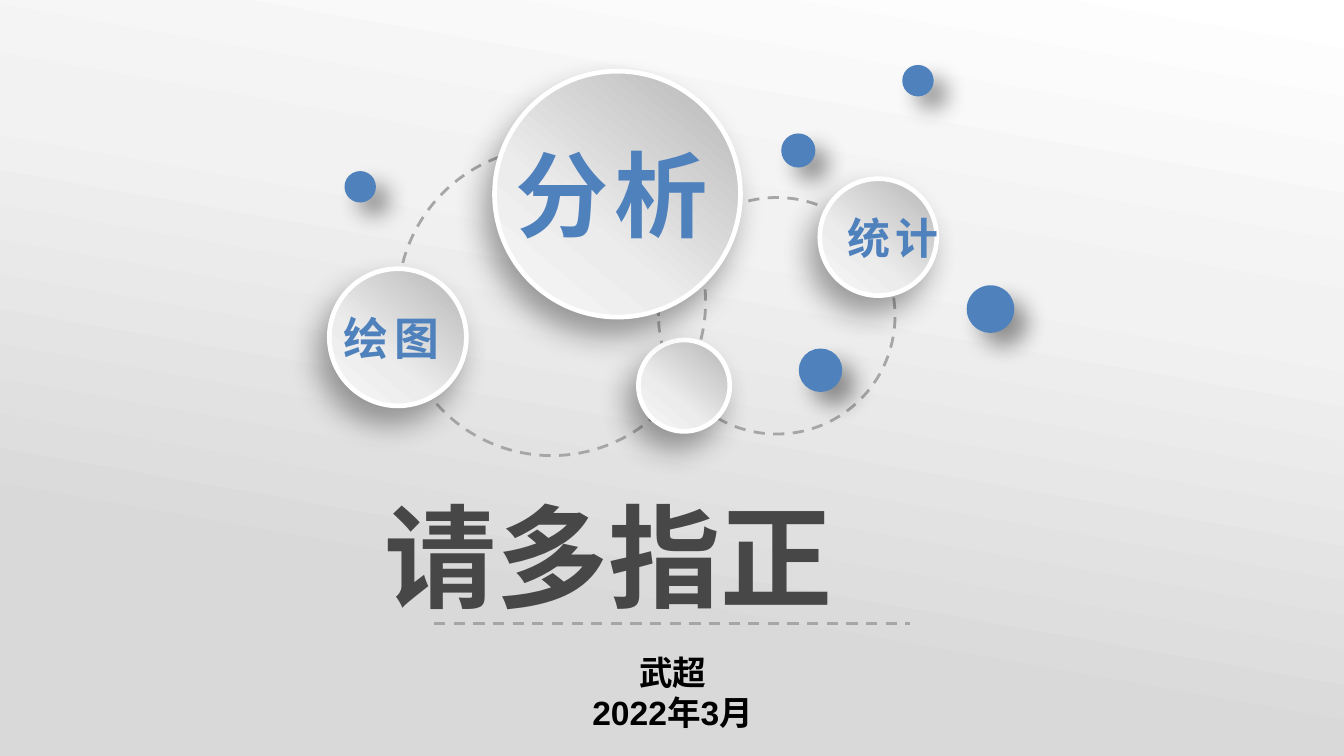
from lxml import etree
from pptx import Presentation
from pptx.dml.color import RGBColor
from pptx.enum import dml, shapes, text
from pptx.oxml import ns
from pptx.util import Inches, Pt

CJK = "Noto Sans CJK SC"
BLUE, GREY, WHITE = "4F81BD", "A6A6A6", "FFFFFF"
BACKDROP = [(0, WHITE), (34, "F2F2F2"), (76, "D9D9D9")]
DISC = [(9, "BEBEBE"), (63, "ECECEC"), (100, "F7F7F7")]


def color(hex_code):
    """Return the RGB colour for a hex string."""
    return RGBColor.from_string(hex_code)


def sub(parent, tag, **attributes):
    """Append a DrawingML element with the given attributes."""
    values = {name: str(value) for name, value in attributes.items()}
    return etree.SubElement(parent, ns.qn(f"a:{tag}"), values)


def set_gradient(shape, stops, angle):
    """Fill a shape with a linear gradient, its angle clockwise in degrees."""
    shape.fill.gradient()
    gradient = shape._element.spPr.find(ns.qn("a:gradFill"))
    for child in list(gradient):
        gradient.remove(child)
    stop_list = sub(gradient, "gsLst")
    for position, hex_code in stops:
        sub(sub(stop_list, "gs", pos=position * 1000), "srgbClr", val=hex_code)
    sub(gradient, "lin", ang=angle * 60000, scaled=0)


def set_shadow(shape, hex_code, blur, angle):
    """Give a shape a soft outer shadow at 40 percent opacity."""
    effects = shape._element.spPr.find(ns.qn("a:effectLst"))
    shadow = sub(effects, "outerShdw", blurRad=Pt(blur), dist=Pt(10),
                 dir=angle * 60000, algn="ctr", rotWithShape=0)
    sub(sub(shadow, "srgbClr", val=hex_code), "alpha", val=40000)


def set_line(line, hex_code, width, dashed=False):
    """Format an outline or a connector line."""
    line.color.rgb = color(hex_code)
    line.width = Pt(width)
    if dashed:
        line.dash_style = dml.MSO_LINE.DASH


def add_circle(parent, left, top, size):
    """Add a circle without shadow."""
    circle = parent.add_shape(shapes.MSO_SHAPE.OVAL, Inches(left), Inches(top),
                              Inches(size), Inches(size))
    circle.shadow.inherit = False
    return circle


def add_orbit(parent, left, top, size):
    """Add an unfilled dashed ring."""
    orbit = add_circle(parent, left, top, size)
    orbit.fill.background()
    set_line(orbit.line, GREY, 1.5, dashed=True)


def add_dot(parent, left, top, size):
    """Add a small blue dot with a shadow."""
    dot = add_circle(parent, left, top, size)
    dot.fill.solid()
    dot.fill.fore_color.rgb = color(BLUE)
    set_line(dot.line, BLUE, 1)
    set_shadow(dot, "000000", 12, 45)


def add_disc(parent, left, top, size):
    """Add a grey disc with a white rim and a shadow."""
    disc = add_circle(parent, left, top, size)
    set_gradient(disc, DISC, 130)
    set_line(disc.line, WHITE, 2.5)
    set_shadow(disc, "1A1A1A", 16, 120)


def add_text(parent, box, lines, size, hex_code, font=CJK, spacing=0,
             align=text.PP_ALIGN.CENTER, anchor=text.MSO_ANCHOR.MIDDLE,
             insets=(0.1, 0.05)):
    """Add a bold text box with one paragraph per line."""
    frame = parent.add_textbox(*map(Inches, box)).text_frame
    frame.word_wrap = True
    frame.auto_size = text.MSO_AUTO_SIZE.SHAPE_TO_FIT_TEXT
    frame.vertical_anchor = anchor
    frame.margin_left = frame.margin_right = Inches(insets[0])
    frame.margin_top = frame.margin_bottom = Inches(insets[1])
    for index, line in enumerate(lines):
        paragraph = frame.paragraphs[0] if index == 0 else frame.add_paragraph()
        paragraph.alignment = align
        run = paragraph.add_run()
        run.text = line
        run.font.size = Pt(size)
        run.font.bold = True
        run.font.color.rgb = color(hex_code)
        run.font.name = font
        properties = run._r.get_or_add_rPr()
        sub(properties, "ea", typeface=CJK)
        if spacing:
            properties.set("spc", str(spacing * 100))


def add_topic(slide, disc, label, box, size):
    """Add a grouped disc and its label."""
    topic = slide.shapes.add_group_shape().shapes
    add_disc(topic, *disc)
    add_text(topic, box, [label], size, BLUE, spacing=3)


def add_backdrop(slide, width, height):
    """Cover the slide with a grey gradient."""
    backdrop = slide.shapes.add_shape(shapes.MSO_SHAPE.RECTANGLE, 0, 0, width, height)
    backdrop.shadow.inherit = False
    backdrop.line.fill.background()
    set_gradient(backdrop, BACKDROP, 100)


def add_rule(slide, left, right, y):
    """Add a horizontal dashed line."""
    rule = slide.shapes.add_connector(shapes.MSO_CONNECTOR.STRAIGHT, Inches(left),
                                      Inches(y), Inches(right), Inches(y))
    set_line(rule.line, GREY, 1.5, dashed=True)
    sub(rule._element.spPr, "effectLst")


def main():
    """Build the closing slide."""
    deck = Presentation()
    deck.slide_width = Inches(10)
    deck.slide_height = deck.slide_width * 9 // 16
    slide = deck.slides.add_slide(deck.slide_layouts[6])
    add_backdrop(slide, deck.slide_width, deck.slide_height)
    add_text(slide.shapes, (2.79, 3.58, 4.41, 1.09), ["请多指正"], 60, "474747",
             align=text.PP_ALIGN.JUSTIFY, insets=(0.07, 0.04))
    add_rule(slide, 3.23, 6.77, 4.64)
    for orbit in [(4.9, 1.47, 1.76), (2.96, 1.1, 2.29)]:
        add_orbit(slide.shapes, *orbit)
    add_disc(slide.shapes, 4.75, 2.53, 0.68)
    for dot in [(7.2, 2.13, 0.34), (5.82, 1, 0.24), (2.57, 1.28, 0.22),
                (5.95, 2.6, 0.31), (6.72, 0.49, 0.22)]:
        add_dot(slide.shapes, *dot)
    add_topic(slide, (3.68, 0.53, 1.83), "分析", (3.68, 0.97, 1.75, 0.94), 50)
    add_topic(slide, (6.1, 1.33, 0.87), "统计", (6.08, 1.52, 1.13, 0.49), 23)
    add_topic(slide, (2.45, 2, 1.02), "绘图 ", (2.43, 2.26, 1.08, 0.5), 24)
    add_text(slide.shapes, (3.94, 4.8, 2.13, 0.71), ["武超", "2022年3月"], 18,
             "000000", font="Arial", anchor=text.MSO_ANCHOR.TOP)
    deck.save("out.pptx")


if __name__ == "__main__":
    main()
